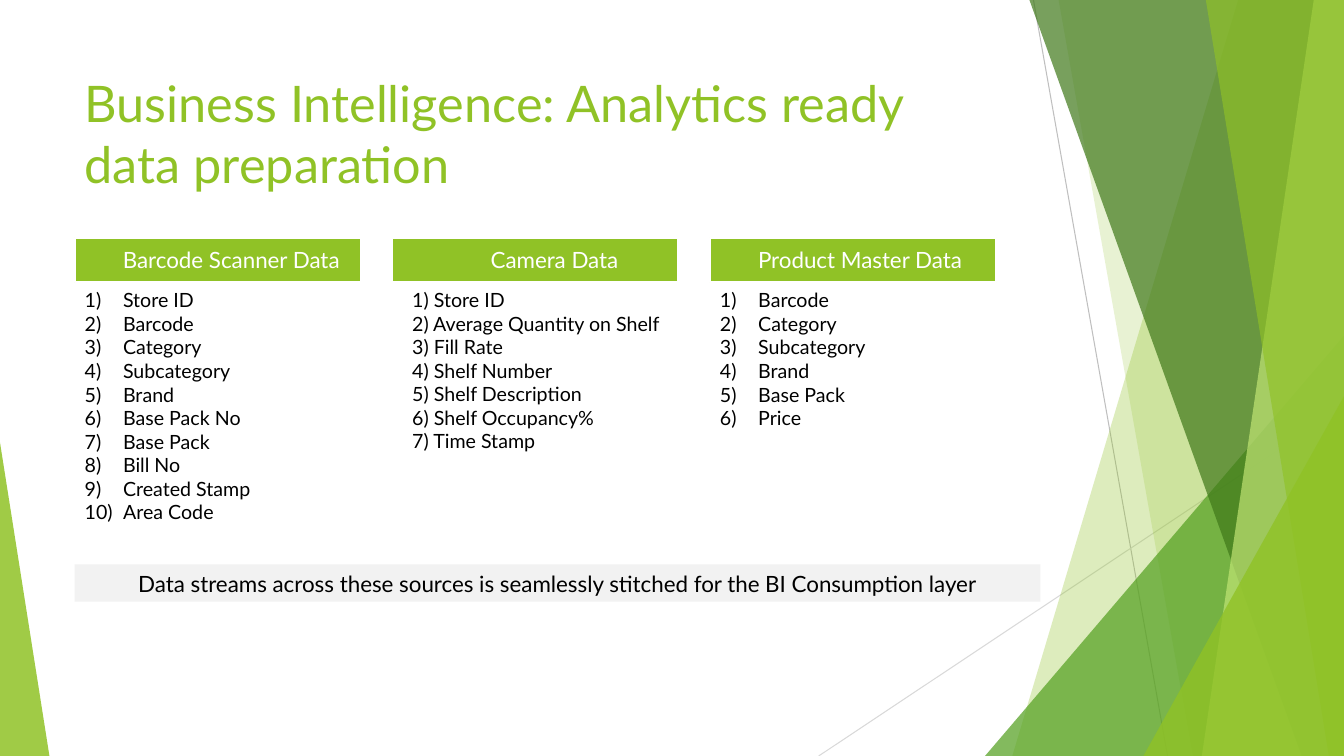
from lxml import etree
from pptx import Presentation
from pptx.dml.color import RGBColor
from pptx.enum.shapes import MSO_CONNECTOR, MSO_SHAPE
from pptx.enum.text import MSO_ANCHOR, MSO_AUTO_SIZE, PP_ALIGN
from pptx.oxml.ns import qn
from pptx.util import Inches, Pt

LEFT, CENTER = PP_ALIGN.LEFT, PP_ALIGN.CENTER
TOP, MIDDLE = MSO_ANCHOR.TOP, MSO_ANCHOR.MIDDLE
RECT, PEAK = MSO_SHAPE.RECTANGLE, MSO_SHAPE.ISOSCELES_TRIANGLE
STRAIGHT = MSO_CONNECTOR.STRAIGHT
NO_FIT = MSO_AUTO_SIZE.NONE
WIDE, HIGH = 13.33, 7.5
HUES = {
    "lime": "90C226", "leaf": "54A021", "forest": "3F7819", "pale": "C0E474",
    "white": "FFFFFF", "black": "000000", "mist": "F2F2F2",
    "gray": "BFBFBF", "silver": "D9D9D9",
}


class Deck:
    font = "Lato"
    indent = 0.38

    def __init__(self):
        self.show = Presentation()
        self.show.slide_width, self.show.slide_height = Inches(WIDE), Inches(HIGH)
        self.slide = self.show.slides.add_slide(self.show.slide_layouts[3])
        self.shapes = self.slide.shapes

    def hue(self, name):
        return RGBColor.from_string(HUES[name])

    def place(self, shape, box):
        shape.left, shape.top, shape.width, shape.height = map(Inches, box)

    def paint(self, shape, fill, alpha=100, edge=None):
        shape.shadow.inherit = False
        shape.fill.solid()
        shape.fill.fore_color.rgb = self.hue(fill)
        if alpha < 100:
            color = shape._element.spPr.find(".//" + qn("a:srgbClr"))
            etree.SubElement(color, qn("a:alpha"), val=str(alpha * 1000))
        if edge:
            shape.line.color.rgb = self.hue(edge)
            shape.line.width = Pt(1.5)
        else:
            shape.line.fill.background()

    def label(self, shape, text, size, hue="black", align=LEFT, anchor=TOP):
        frame = shape.text_frame
        frame.text = text
        frame.word_wrap = True
        frame.auto_size = NO_FIT
        frame.vertical_anchor = anchor
        for para in frame.paragraphs:
            para.alignment = align
            para.space_before = Pt(0)
            for run in para.runs:
                run.font.name = self.font
                run.font.size = Pt(size)
                run.font.color.rgb = self.hue(hue)

    def inset(self, shape, hang=False):
        for para in shape.text_frame.paragraphs:
            props = para._p.get_or_add_pPr()
            props.set("marL", str(Inches(self.indent)))
            props.set("indent", str(-Inches(self.indent) if hang else 0))
            if hang:
                etree.SubElement(props, qn("a:buFont"), typeface=self.font)
                etree.SubElement(props, qn("a:buAutoNum"), type="arabicParenR")

    def line(self, start, end, hue):
        line = self.shapes.add_connector(STRAIGHT, *map(Inches, start + end))
        line.line.color.rgb = self.hue(hue)
        line.line.width = Pt(0.75)
        etree.SubElement(line._element.spPr, qn("a:effectLst"))

    def facet(self, top, base, hue, alpha):
        pen = self.shapes.build_freeform(Inches(top), 0)
        corners = [(WIDE, 0), (WIDE, HIGH), (base, HIGH)]
        pen.add_line_segments([(Inches(x), Inches(y)) for x, y in corners])
        self.paint(pen.convert_to_shape(), hue, alpha)

    def peak(self, left, top, width, tip, hue, alpha):
        box = (left, top, width, HIGH - top)
        shape = self.shapes.add_shape(PEAK, *map(Inches, box))
        shape.adjustments[0] = tip
        self.paint(shape, hue, alpha)

    def title(self, text, box):
        self.place(self.shapes.title, box)
        self.label(self.shapes.title, text, 36, "lime")

    def bar(self, text, box, fill, hue, edge=None):
        shape = self.shapes.add_shape(RECT, *map(Inches, box))
        self.paint(shape, fill, edge=edge)
        self.label(shape, text, 16, hue, CENTER, MIDDLE)
        return shape

    def head(self, text, box, align):
        shape = self.bar(text, box, "lime", "white", "white")
        shape.text_frame.paragraphs[0].alignment = align
        self.inset(shape)

    def items(self, names, box, slot):
        shape = self.slide.placeholders[slot]
        self.place(shape, box)
        self.label(shape, "\n".join(names), 14)
        self.inset(shape, hang=True)

    def note(self, rows, box):
        shape = self.shapes.add_textbox(*map(Inches, box))
        self.label(shape, "\n".join(rows), 14)


deck = Deck()
deck.line((10.25, 0), (11.58, HIGH), "gray")
deck.line((WIDE, 4.03), (8.12, HIGH), "silver")
deck.facet(12.28, 10.04, "lime", 30)
deck.facet(10.5, 11.83, "lime", 20)
deck.peak(9.77, 3.33, 3.56, 1, "leaf", 72)
for facet in [
    (10.21, 12.91, "forest", 70),
    (13.03, 11.92, "pale", 70),
    (11.96, 13.18, "lime", 65),
]:
    deck.facet(*facet)
deck.peak(11.34, 3.93, 1.99, 1, "lime", 80)
deck.peak(0, 4.39, 0.49, 0, "lime", 85)

SIDE, STEP, SPAN = 0.74, 3.15, 2.84
deck.title("Business Intelligence: Analytics ready data preparation",
           (SIDE, 0.67, 9.4, 1.44))

heads = [("Barcode Scanner Data", LEFT), ("Camera Data", CENTER),
         ("Product Master Data", LEFT)]
for col, (text, align) in enumerate(heads):
    deck.head(text, (SIDE + col * STEP, 2.36, SPAN, 0.44), align)

scan = ["Store ID", "Barcode", "Category", "Subcategory", "Brand",
        "Base Pack No", "Base Pack", "Bill No", "Created Stamp", "Area Code"]
camera = ["Store ID", "Average Quantity on Shelf", "Fill Rate", "Shelf Number",
          "Shelf Description", "Shelf Occupancy%", "Time Stamp"]
goods = ["Barcode", "Category", "Subcategory", "Brand", "Base Pack", "Price"]
deck.items(scan, (SIDE, 2.81, SPAN, 2.69), 1)
deck.note([f"{num}) {name}" for num, name in enumerate(camera, 1)],
          (3.99, 2.81, 2.74, 1.99))
deck.items(goods, (SIDE + 2 * STEP, 2.81, 2.64, 1.51), 2)

deck.bar("Data streams across these sources is seamlessly stitched "
         "for the BI Consumption layer", (SIDE, 5.6, 9.58, 0.37), "mist", "black")
deck.show.save("out.pptx")
